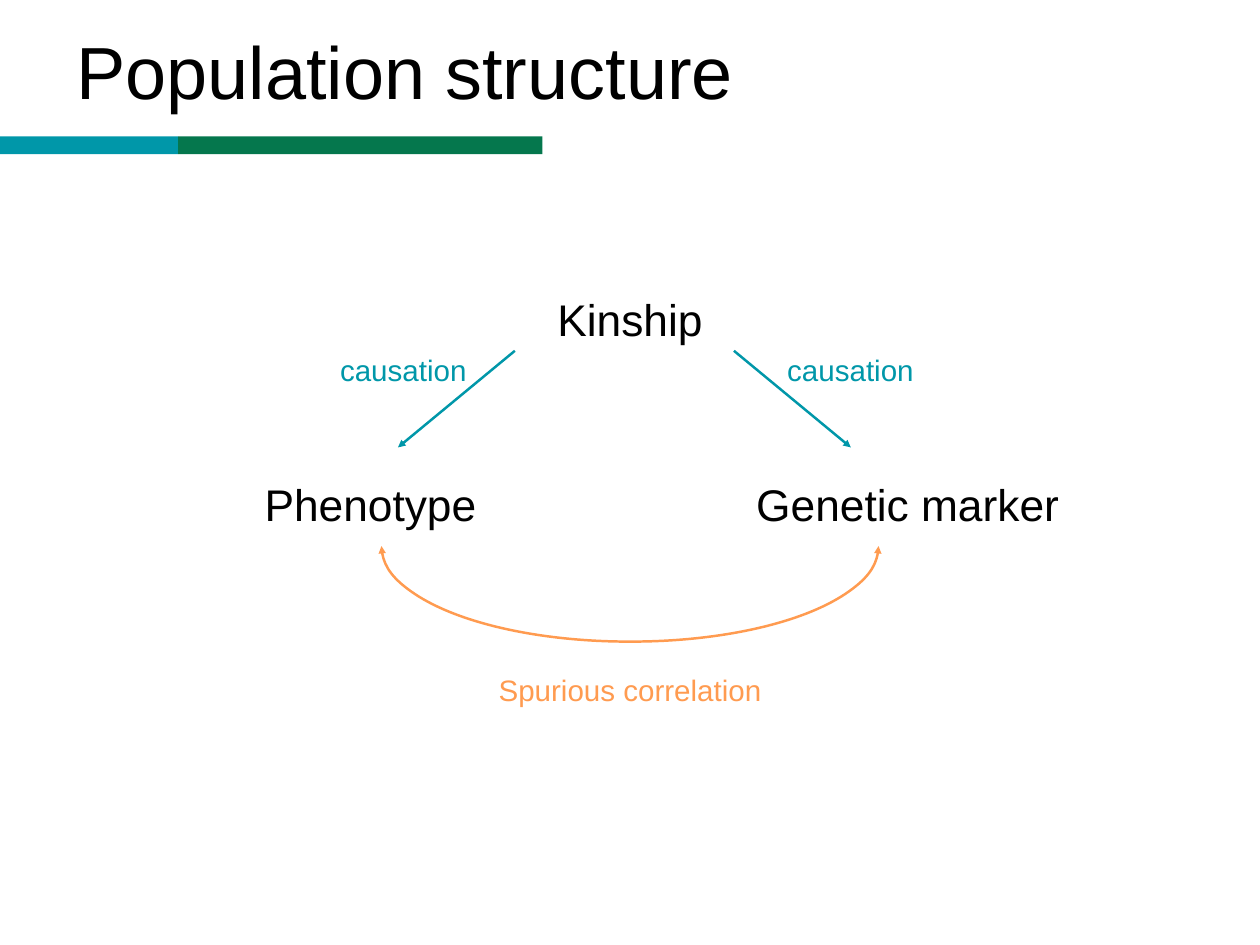
from lxml import etree
from pptx import Presentation
from pptx.dml.color import RGBColor
from pptx.enum.shapes import MSO_CONNECTOR as LINE, MSO_SHAPE as SHAPE
from pptx.enum.text import MSO_ANCHOR as ANCHOR, PP_ALIGN as ALIGN
from pptx.oxml.ns import qn
from pptx.util import Cm, Pt

BLACK, TEAL, GREEN, ORANGE = "000000", "0097A9", "05774D", "FF9B50"
WIDTH, HEIGHT = 36.12, 27.1


def rgb(value):
    return RGBColor.from_string(value)


def add_text(s, text, x, y, w, h, size=24, color=BLACK, align=ALIGN.CENTER,
             anchor=ANCHOR.TOP, wrap=True, inset=0.13):
    tf = s.shapes.add_textbox(Cm(x), Cm(y), Cm(w), Cm(h)).text_frame
    tf.word_wrap = wrap
    tf.vertical_anchor = anchor
    tf.margin_left = tf.margin_right = Cm(inset)
    tf.margin_top = tf.margin_bottom = Cm(inset)
    p = tf.paragraphs[0]
    p.alignment = align
    r = p.add_run()
    r.text = text
    r.font.name, r.font.size = "Arial", Pt(size)
    r.font.color.rgb = rgb(color)


def style_line(sp, color, *ends):
    """Colour the line and put triangles on the named ends."""
    sp.line.color.rgb = rgb(color)
    sp.line.width = Pt(2)
    ln = sp.line._get_or_add_ln()
    for end in ends:
        etree.SubElement(ln, qn(f"a:{end}"), type="triangle")


def add_arrow(s, x1, y1, x2, y2, color):
    line = s.shapes.add_connector(LINE.STRAIGHT, Cm(x1), Cm(y1), Cm(x2), Cm(y2))
    style_line(line, color, "tailEnd")
    etree.SubElement(line._element.spPr, qn("a:effectLst"))


def add_double_arc(s, cx, cy, span, depth, color):
    """Draw an upward-opening bracket, rounded into an arc, around its centre."""
    sp = s.shapes.add_shape(SHAPE.RIGHT_BRACKET, Cm(cx - depth / 2),
                            Cm(cy - span / 2), Cm(depth), Cm(span))
    sp.rotation = 90
    sp.adjustments[0] = 2.586
    sp.shadow.inherit = False
    sp.fill.background()
    style_line(sp, color, "headEnd", "tailEnd")


def add_header(s, x, y, w):
    add_text(s, "Population structure", x + 2.06, y + 0.61, w - 2.19, 2.82,
             size=60, align=ALIGN.LEFT)
    for left, width, color in ((0, 5.11, TEAL), (5.11, 10.44, GREEN)):
        bar = s.shapes.add_shape(SHAPE.RECTANGLE, Cm(x + left), Cm(y + 3.91),
                                 Cm(width), Cm(0.51))
        bar.shadow.inherit = False
        bar.fill.solid()
        bar.fill.fore_color.rgb = rgb(color)
        bar.line.fill.background()


def add_diagram(s, x, y, w):
    cx = x + w / 2
    nodes = (("Kinship", 0, 0, 4.57), ("Phenotype", -7.44, 5.31, 6.4),
             ("Genetic marker", 7.96, 5.31, 9.12))
    for text, dx, dy, width in nodes:
        add_text(s, text, cx + dx - width / 2, y + dy, width, 1.83, size=36,
                 anchor=ANCHOR.MIDDLE, wrap=False, inset=0.15)

    axis = cx - 0.16
    for side in (-1, 1):
        add_arrow(s, axis + side * 3.14, y + 1.83,
                  axis + side * 6.49, y + 4.6, TEAL)
    add_double_arc(s, cx, y + 8.8, 14.25, 2.74, ORANGE)

    labels = (("causation", -6.5, 1.73, TEAL), ("causation", 6.32, 1.73, TEAL),
              ("Spurious correlation", 0, 10.92, ORANGE))
    for text, dx, dy, color in labels:
        add_text(s, text, cx + dx - 9.07, y + dy, 18.14, 1.27, color=color)


def main():
    prs = Presentation()
    prs.slide_width, prs.slide_height = Cm(WIDTH), Cm(HEIGHT)
    s = prs.slides.add_slide(prs.slide_layouts[6])
    add_header(s, 0, 0, WIDTH)
    add_diagram(s, 0, 8.23, WIDTH)
    prs.save("out.pptx")


if __name__ == "__main__":
    main()
